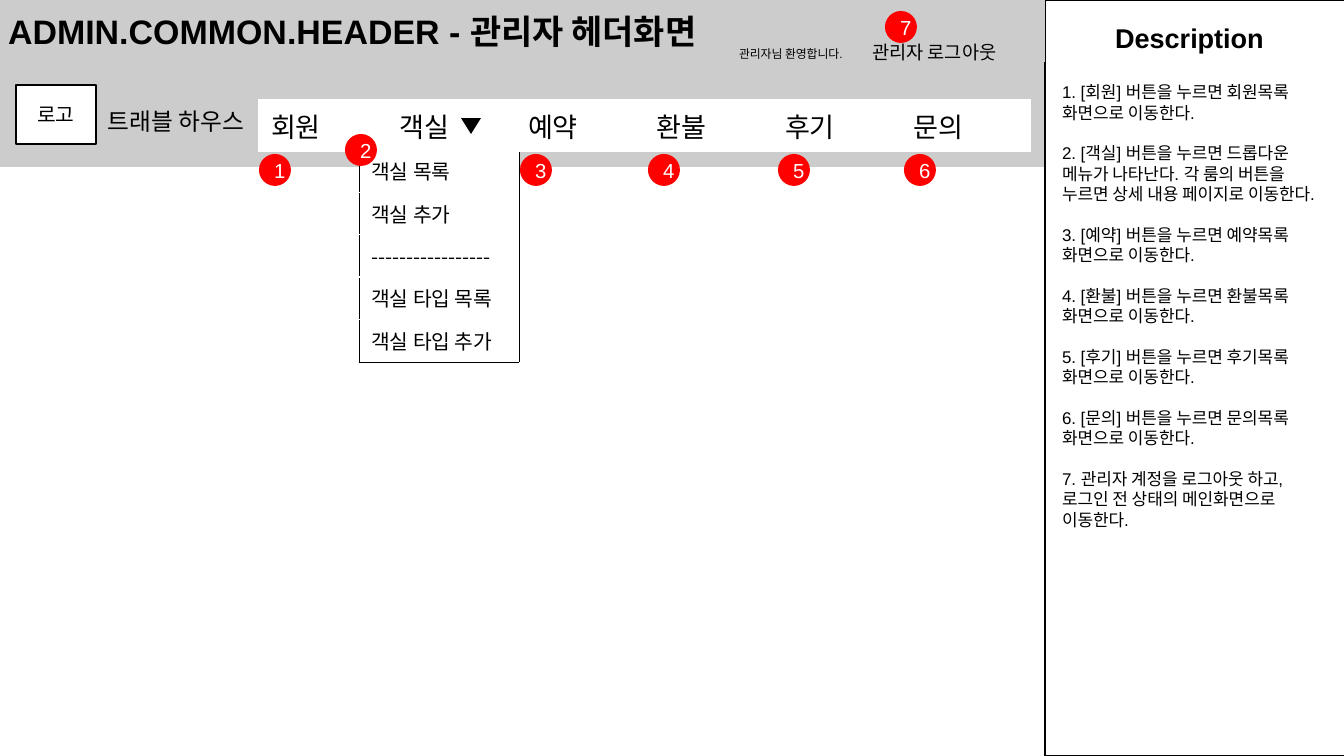
from dataclasses import dataclass

from lxml import etree
from pptx import Presentation
from pptx.dml.color import RGBColor
from pptx.enum.shapes import MSO_SHAPE
from pptx.enum.text import MSO_ANCHOR, MSO_AUTO_SIZE, PP_ALIGN
from pptx.oxml.ns import qn
from pptx.util import Pt

RECT, OVAL, TRIANGLE = MSO_SHAPE.RECTANGLE, MSO_SHAPE.OVAL, MSO_SHAPE.ISOSCELES_TRIANGLE
LEFT, CENTER = PP_ALIGN.LEFT, PP_ALIGN.CENTER
TOP, MIDDLE = MSO_ANCHOR.TOP, MSO_ANCHOR.MIDDLE
NO_FIT = MSO_AUTO_SIZE.NONE
LATIN, KOREAN = "Arial", "Noto Sans CJK KR"
BLACK, WHITE, GRAY, RED = "000000", "FFFFFF", "CCCCCC", "FF0000"
EMU_PER_PIXEL = 914400 / 122
BADGE_SIZE = 32


@dataclass(frozen=True)
class Box:
    left: float
    top: float
    width: float
    height: float

    def emu(self) -> tuple:
        return tuple(px(v) for v in (self.left, self.top, self.width, self.height))


@dataclass(frozen=True)
class Badge:
    number: int
    left: int
    top: int = 154


@dataclass(frozen=True)
class Label:
    text: str
    box: Box
    size: int
    inset: tuple = (12, 6, 12, 6)
    font: str = LATIN
    bold: bool = False
    align: PP_ALIGN = LEFT


def px(pixels: float) -> int:
    return round(pixels * EMU_PER_PIXEL)


def paint(target, color: str) -> None:
    target.solid()
    target.fore_color.rgb = RGBColor.from_string(color)


def write(frame, *texts: str, size: int, color: str = BLACK, font: str = LATIN,
          bold: bool = False, align: PP_ALIGN = LEFT, anchor: MSO_ANCHOR = TOP,
          inset: tuple = (12, 6, 12, 6), gap: int = 0) -> None:
    frame.word_wrap = True
    frame.auto_size = NO_FIT
    frame.vertical_anchor = anchor
    frame.margin_left, frame.margin_top, frame.margin_right, frame.margin_bottom = map(px, inset)
    for index, text in enumerate(texts):
        paragraph = frame.add_paragraph() if index else frame.paragraphs[0]
        paragraph.alignment = align
        paragraph.space_before = Pt(gap if index else 0)
        run = paragraph.add_run()
        run.text = text
        run.font.size = Pt(size)
        run.font.bold = bold
        paint(run.font.fill, color)
        run.font.name = font
        etree.SubElement(run.font._element, qn("a:ea"), typeface=KOREAN)


def place(holder, box: Box) -> None:
    holder.left, holder.top, holder.width, holder.height = box.emu()


def draw(kind: MSO_SHAPE, box: Box, fill: str, line: str | None = None):
    shape = slide.shapes.add_shape(kind, *box.emu())
    shape.shadow.inherit = False
    paint(shape.fill, fill)
    if line:
        paint(shape.line.fill, line)
        shape.line.width = Pt(0.74)
    else:
        shape.line.fill.background()
    return shape


def draw_label(label: Label) -> None:
    box = slide.shapes.add_textbox(*label.box.emu())
    write(box.text_frame, label.text, size=label.size, font=label.font,
          bold=label.bold, align=label.align, inset=label.inset)


def draw_badge(badge: Badge) -> None:
    circle = draw(OVAL, Box(badge.left, badge.top, BADGE_SIZE, BADGE_SIZE), RED)
    write(circle.text_frame, str(badge.number), size=12, color=WHITE,
          align=CENTER, anchor=MIDDLE)


def draw_grid(rows: list, box: Box, size: int, font: str):
    table = slide.shapes.add_table(len(rows), len(rows[0]), *box.emu()).table
    table.first_row = table.horz_banding = False
    for row, texts in zip(table.rows, rows):
        row.height = px(box.height / len(rows))
        for cell, text in zip(row.cells, texts):
            write(cell.text_frame, text, size=size, font=font)
            paint(cell.fill, WHITE)
    return table


def outline(cell, sides: tuple) -> None:
    properties = cell._tc.get_or_add_tcPr()
    for position, side in enumerate(sides):
        border = etree.Element(qn(f"a:{side}"), w="762")
        fill = etree.SubElement(border, qn("a:solidFill"))
        etree.SubElement(fill, qn("a:srgbClr"), val=BLACK)
        properties.insert(position, border)


MENU = ["회원", "객실", "예약", "환불", "후기", "문의"]
ROOM_MENU = ["객실 목록", "객실 추가", "-" * 17, "객실 타입 목록", "객실 타입 추가"]
MOVE_TO_LIST = "[{0}] 버튼을 누르면 {0}목록 화면으로 이동한다."
ROOM_NOTE = ("[객실] 버튼을 누르면 드롭다운 메뉴가 나타난다. "
             "각 룸의 버튼을 누르면 상세 내용 페이지로 이동한다.")
LOGOUT_NOTE = "관리자 계정을 로그아웃 하고, 로그인 전 상태의 메인화면으로 이동한다."
NOTES = [ROOM_NOTE if item == "객실" else MOVE_TO_LIST.format(item) for item in MENU]
NOTES.append(LOGOUT_NOTE)

LABELS = [
    Label("Description", Box(1050, 15, 279, 48), 16, bold=True, align=CENTER),
    Label("관리자님 환영합니다.", Box(727, 35, 143, 33), 7, inset=(12, 12, 12, 12)),
    Label("관리자 로그아웃", Box(860, 35, 167, 33), 11),
    Label("트래블 하우스", Box(96, 101, 183, 46), 14, font=KOREAN),
]
BADGES = [Badge(1, 259), Badge(2, 345, 134), Badge(3, 520), Badge(4, 648),
          Badge(5, 778), Badge(6, 904), Badge(7, 885, 11)]

deck = Presentation()
deck.slide_width, deck.slide_height = px(1344), px(756)
slide = deck.slides.add_slide(deck.slide_layouts[1])

heading, notes = slide.shapes.title, slide.placeholders[1]
header_band = draw(RECT, Box(-1, 60, 1047, 107), GRAY)
description_panel = draw(RECT, Box(1045, 0, 300, 756), WHITE, BLACK)
for backdrop in (header_band, description_panel):
    heading.element.addprevious(backdrop.element)

place(heading, Box(0, 0, 1045, 62))
paint(heading.fill, GRAY)
write(heading.text_frame, "ADMIN.COMMON.HEADER - 관리자 헤더화면", size=20,
      bold=True, anchor=MIDDLE, inset=(8, 0, 0, 0))

place(notes, Box(1050, 76, 294, 680))
write(notes.text_frame, *(f"{n}. {note}" for n, note in enumerate(NOTES, 1)),
      size=10, gap=12)
for paragraph in notes.text_frame.paragraphs:
    properties = paragraph._p.get_or_add_pPr()
    properties.set("marL", "0")
    properties.set("indent", "0")
    etree.SubElement(properties, qn("a:buNone"))

logo = draw(RECT, Box(16, 85, 80, 59), WHITE, BLACK)
write(logo.text_frame, "로고", size=12, align=CENTER, anchor=MIDDLE)

dropdown = draw_grid([[item] for item in ROOM_MENU], Box(359, 150, 160, 212), 12, KOREAN)
for index in range(len(ROOM_MENU)):
    is_last = index == len(ROOM_MENU) - 1
    outline(dropdown.cell(index, 0), ("lnL", "lnR", "lnB") if is_last else ("lnL", "lnR"))
draw_grid([MENU], Box(259, 100, 771, 50), 16, LATIN)

dropdown_arrow = draw(TRIANGLE, Box(461, 118, 20, 16), BLACK)
dropdown_arrow.rotation = 180

for label in LABELS:
    draw_label(label)
for badge in BADGES:
    draw_badge(badge)

deck.save("out.pptx")
